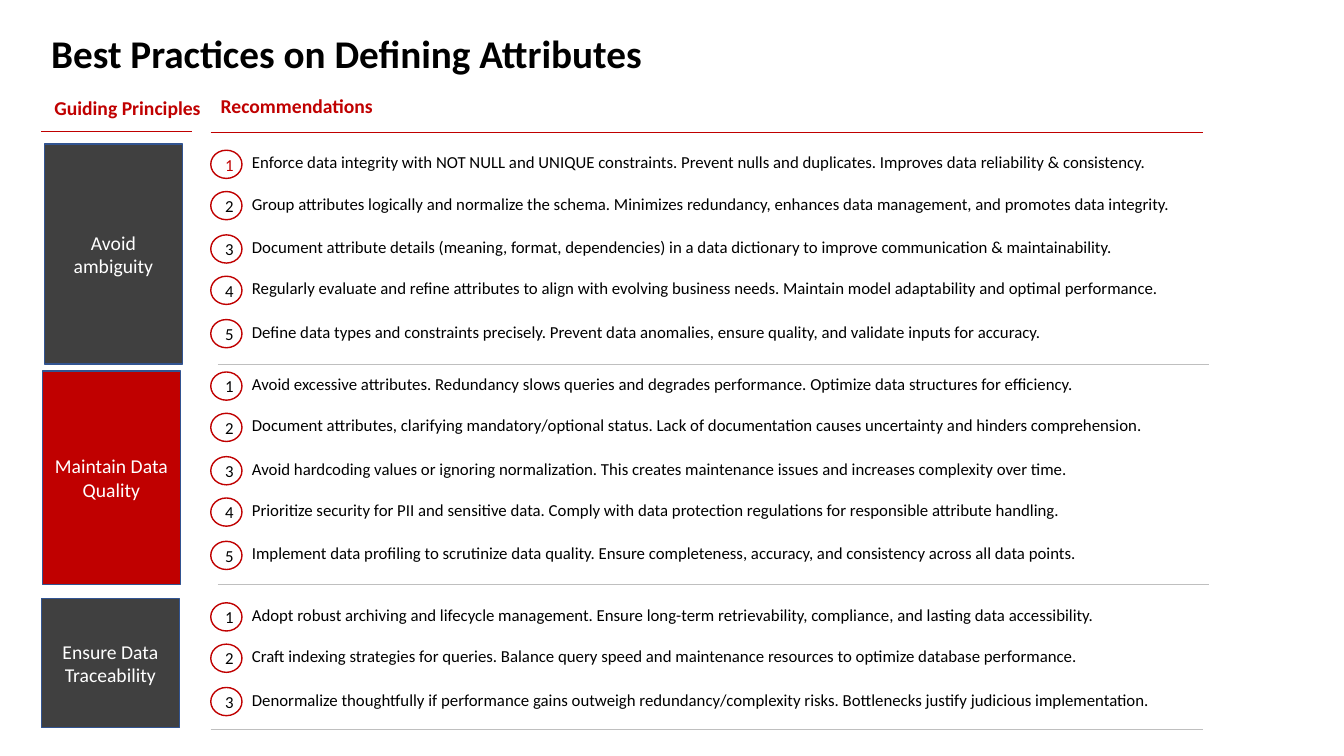
from dataclasses import dataclass

from lxml.etree import SubElement
from pptx import Presentation
from pptx.dml.color import RGBColor
from pptx.enum.shapes import MSO_CONNECTOR, MSO_SHAPE
from pptx.enum.text import MSO_ANCHOR, MSO_AUTO_SIZE, PP_ALIGN
from pptx.oxml.ns import qn
from pptx.shapes.autoshape import Shape
from pptx.slide import Slide
from pptx.util import Inches, Length, Pt

COLORS = {
    "red": "C00000",
    "dark": "404040",
    "white": "FFFFFF",
    "black": "000000",
    "rule": "BFBFBF",
    "outline": "325491",
}
FONT = "Calibri"
COLS, ROWS = 133.3, 75
LIST_COL, TEXT_COL = 20.9, 24
ROW_STEPS = (0, 4.1, 8.4, 12.5, 16.8)


@dataclass(frozen=True)
class Principle:
    name: str
    fill: str
    col: float
    row: float
    height: float
    first_row: float
    items: tuple[str, ...]
    first_color: str = "black"


@dataclass(frozen=True)
class Rule:
    start: float
    end: float
    row: float
    color: str


PRINCIPLES = (
    Principle("Avoid ambiguity", "dark", 4.4, 14.3, 21.8, 14.9, (
        "Enforce data integrity with NOT NULL and UNIQUE constraints. Prevent nulls and duplicates. Improves data reliability & consistency.",
        "Group attributes logically and normalize the schema. Minimizes redundancy, enhances data management, and promotes data integrity.",
        "Document attribute details (meaning, format, dependencies) in a data dictionary to improve communication & maintainability.",
        "Regularly evaluate and refine attributes to align with evolving business needs. Maintain model adaptability and optimal performance.",
        "Define data types and constraints precisely. Prevent data anomalies, ensure quality, and validate inputs for accuracy.",
    ), "red"),
    Principle("Maintain Data Quality", "red", 4.2, 36.8, 21.2, 36.9, (
        "Avoid excessive attributes. Redundancy slows queries and degrades performance. Optimize data structures for efficiency.",
        "Document attributes, clarifying mandatory/optional status. Lack of documentation causes uncertainty and hinders comprehension.",
        "Avoid hardcoding values or ignoring normalization. This creates maintenance issues and increases complexity over time.",
        "Prioritize security for PII and sensitive data. Comply with data protection regulations for responsible attribute handling.",
        "Implement data profiling to scrutinize data quality. Ensure completeness, accuracy, and consistency across all data points.",
    )),
    Principle("Ensure Data Traceability", "dark", 4.1, 59.4, 12.8, 59.8, (
        "Adopt robust archiving and lifecycle management. Ensure long-term retrievability, compliance, and lasting data accessibility.",
        "Craft indexing strategies for queries. Balance query speed and maintenance resources to optimize database performance.",
        "Denormalize thoughtfully if performance gains outweigh redundancy/complexity risks. Bottlenecks justify judicious implementation.",
    )),
)
RULES = (
    Rule(4.1, 19, 13, "red"),
    Rule(LIST_COL, 119.3, 13.1, "red"),
    Rule(21.6, 119.9, 36.1, "rule"),
    Rule(21.6, 119.9, 58, "rule"),
    Rule(LIST_COL, 119.3, 72.4, "rule"),
)


def cells(n: float) -> Length:
    """Convert grid cells to a length."""
    return Inches(n / 10)


def rgb(name: str) -> RGBColor:
    """Look up a named colour."""
    return RGBColor.from_string(COLORS[name])


def write(s: Shape, text: str, *, size: int = 12, color: str = "black",
          bold: bool = False, align: PP_ALIGN = PP_ALIGN.LEFT) -> None:
    """Put one formatted run into a shape."""
    tf = s.text_frame
    tf.word_wrap = True
    p = tf.paragraphs[0]
    p.alignment = align
    r = p.add_run()
    r.text = text
    r.font.name, r.font.size, r.font.bold = FONT, Pt(size), bold
    r.font.color.rgb = rgb(color)


def add_label(slide: Slide, text: str, col: float, row: float, width: float,
              height: float, **style) -> None:
    """Add a text box that grows with its text."""
    s = slide.shapes.add_textbox(*map(cells, (col, row, width, height)))
    write(s, text, **style)
    s.text_frame.auto_size = MSO_AUTO_SIZE.SHAPE_TO_FIT_TEXT


def add_block(slide: Slide, kind: MSO_SHAPE, text: str, col: float, row: float,
              width: float, height: float, fill: str, line: str, **style) -> None:
    """Add a filled shape with centred text."""
    s = slide.shapes.add_shape(kind, *map(cells, (col, row, width, height)))
    s.shadow.inherit = False
    s.fill.solid()
    s.fill.fore_color.rgb = rgb(fill)
    s.line.color.rgb = rgb(line)
    s.line.width = Pt(1)
    s.text_frame.vertical_anchor = MSO_ANCHOR.MIDDLE
    write(s, text, align=PP_ALIGN.CENTER, **style)


def add_rule(slide: Slide, rule: Rule) -> None:
    """Add a thin horizontal line."""
    ends = map(cells, (rule.start, rule.row, rule.end, rule.row))
    c = slide.shapes.add_connector(MSO_CONNECTOR.STRAIGHT, *ends)
    c.line.color.rgb = rgb(rule.color)
    c.line.width = Pt(0.5)
    SubElement(c._element.spPr, qn("a:effectLst"))


def add_principle(slide: Slide, pr: Principle) -> None:
    """Add a principle block and its numbered recommendations."""
    add_block(slide, MSO_SHAPE.RECTANGLE, pr.name, pr.col, pr.row, 13.7, pr.height,
              pr.fill, "outline", size=14, color="white")
    for i, (step, item) in enumerate(zip(ROW_STEPS, pr.items), 1):
        row = pr.first_row + step
        color = pr.first_color if i == 1 else "black"
        add_block(slide, MSO_SHAPE.OVAL, str(i), LIST_COL, row, 3.1, 2.8,
                  "white", "red", color=color)
        add_label(slide, item, TEXT_COL, row - 0.3, 105, 3)


def main() -> None:
    """Build and save the slide."""
    prs = Presentation()
    prs.slide_width, prs.slide_height = cells(COLS), cells(ROWS)
    slide = prs.slides.add_slide(prs.slide_layouts[6])
    add_label(slide, "Best Practices on Defining Attributes", 4.1, 2.4, 120.3, 5.7,
              size=28, bold=True)
    add_label(slide, "Guiding Principles", 4.4, 9, 16.6, 3.4,
              size=14, color="red", bold=True)
    add_label(slide, "Recommendations", LIST_COL, 8.8, 99.6, 3.4,
              size=14, color="red", bold=True)
    for rule in RULES:
        add_rule(slide, rule)
    for pr in PRINCIPLES:
        add_principle(slide, pr)
    prs.save("out.pptx")


if __name__ == "__main__":
    main()
